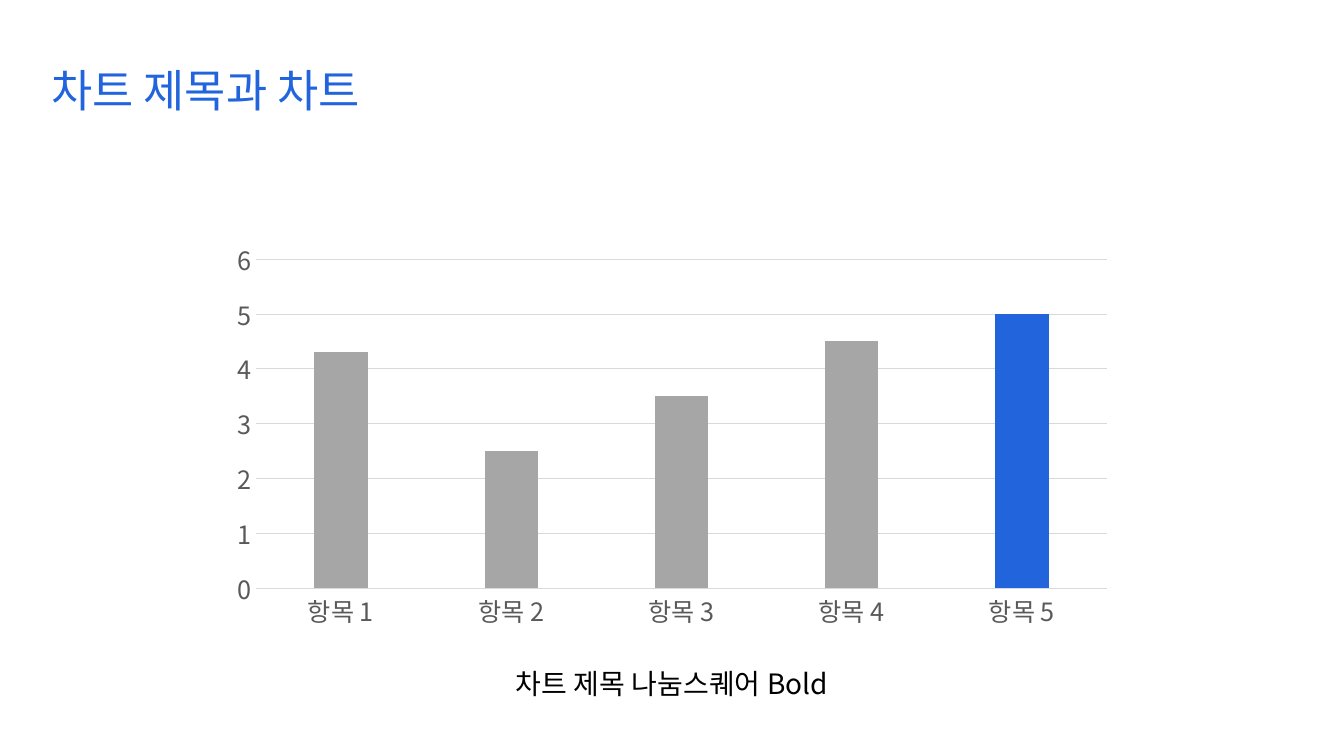
"""Build a slide with a title, a highlighted column chart and a caption."""
from dataclasses import dataclass

from lxml import etree
from pptx import Presentation
from pptx.chart.chart import Chart
from pptx.chart.data import CategoryChartData
from pptx.dml.color import RGBColor
from pptx.enum.chart import XL_CHART_TYPE, XL_TICK_MARK
from pptx.enum.text import MSO_ANCHOR, PP_ALIGN
from pptx.oxml.ns import qn
from pptx.slide import Slide
from pptx.text.text import Font
from pptx.util import Inches, Pt

COLUMNS = XL_CHART_TYPE.COLUMN_CLUSTERED
NO_TICK = XL_TICK_MARK.NONE
MIDDLE = MSO_ANCHOR.MIDDLE
LEFT, CENTER = PP_ALIGN.LEFT, PP_ALIGN.CENTER


@dataclass(frozen=True)
class Theme:
    font: str = "Noto Sans CJK KR"
    accent: str = "2264DC"
    bar: str = "A6A6A6"
    grid: str = "D9D9D9"
    axis_text: str = "595959"
    text: str = "000000"
    title_size: int = 32
    caption_size: int = 20
    axis_size: int = 18
    chart_size: int = 10
    line_width: float = 0.75


@dataclass(frozen=True)
class Area:
    left: float
    top: float
    width: float
    height: float

    def lengths(self) -> tuple:
        return tuple(Inches(side) for side in (self.left, self.top, self.width, self.height))


@dataclass(frozen=True)
class Bar:
    label: str
    value: float
    color: str


THEME = Theme()
TITLE_AREA = Area(0.41, 0.5, 10.79, 0.62)
CHART_AREA = Area(2.18, 2.31, 8.98, 4.01)
CAPTION_AREA = Area(4.5, 6.51, 4.33, 0.53)
VALUES = (4.3, 2.5, 3.5, 4.5, 5)
BARS = [
    Bar(f"항목 {number}", value, THEME.accent if value == max(VALUES) else THEME.bar)
    for number, value in enumerate(VALUES, start=1)
]


def style_font(font: Font, size: int, color: str) -> None:
    font.name = THEME.font
    font.size = Pt(size)
    font.color.rgb = RGBColor.from_string(color)


def set_east_asian_font(element: etree._Element) -> None:
    for latin in list(element.iter(qn("a:latin"))):
        latin.addnext(etree.Element(qn("a:ea"), typeface=THEME.font))


def add_text(page: Slide, text: str, *, area: Area, size: int, color: str,
             align: PP_ALIGN = LEFT, line_spacing: float = 1.0) -> None:
    box = page.shapes.add_textbox(*area.lengths())
    frame = box.text_frame
    frame.word_wrap = True
    frame.vertical_anchor = MIDDLE
    para = frame.paragraphs[0]
    para.alignment = align
    para.line_spacing = line_spacing
    span = para.add_run()
    span.text = text
    style_font(span.font, size, color)
    set_east_asian_font(box.element)


def style_axes(chart: Chart) -> None:
    for axis in (chart.category_axis, chart.value_axis):
        axis.major_tick_mark = axis.minor_tick_mark = NO_TICK
        style_font(axis.tick_labels.font, THEME.axis_size, THEME.axis_text)
    chart.value_axis.minimum_scale = 0
    chart.value_axis.maximum_scale = 6
    chart.value_axis.major_unit = 1
    chart.value_axis.format.line.fill.background()
    for line in (chart.category_axis.format.line, chart.value_axis.major_gridlines.format.line):
        line.color.rgb = RGBColor.from_string(THEME.grid)
        line.width = Pt(THEME.line_width)


def add_column_chart(page: Slide, bars: list[Bar], area: Area) -> None:
    data = CategoryChartData()
    data.categories = [bar.label for bar in bars]
    data.add_series("Series 1", [bar.value for bar in bars])
    chart = page.shapes.add_chart(COLUMNS, *area.lengths(), data).chart
    chart.has_title = False
    chart.has_legend = False
    style_font(chart.font, THEME.chart_size, THEME.text)
    style_axes(chart)
    plot = chart.plots[0]
    plot.vary_by_categories = False
    plot.gap_width = 219
    plot.overlap = -27
    for index, bar in enumerate(bars):
        fill = plot.series[0].points[index].format.fill
        fill.solid()
        fill.fore_color.rgb = RGBColor.from_string(bar.color)
    set_east_asian_font(chart.element)


def main() -> None:
    deck = Presentation()
    deck.slide_width, deck.slide_height = Inches(13.33), Inches(7.5)
    page = deck.slides.add_slide(deck.slide_layouts[6])
    add_text(page, "차트 제목과 차트", area=TITLE_AREA, size=THEME.title_size,
             color=THEME.accent, line_spacing=1.3)
    add_column_chart(page, BARS, CHART_AREA)
    add_text(page, "차트 제목 나눔스퀘어 Bold", area=CAPTION_AREA,
             size=THEME.caption_size, color=THEME.text, align=CENTER)
    deck.save("out.pptx")


if __name__ == "__main__":
    main()
